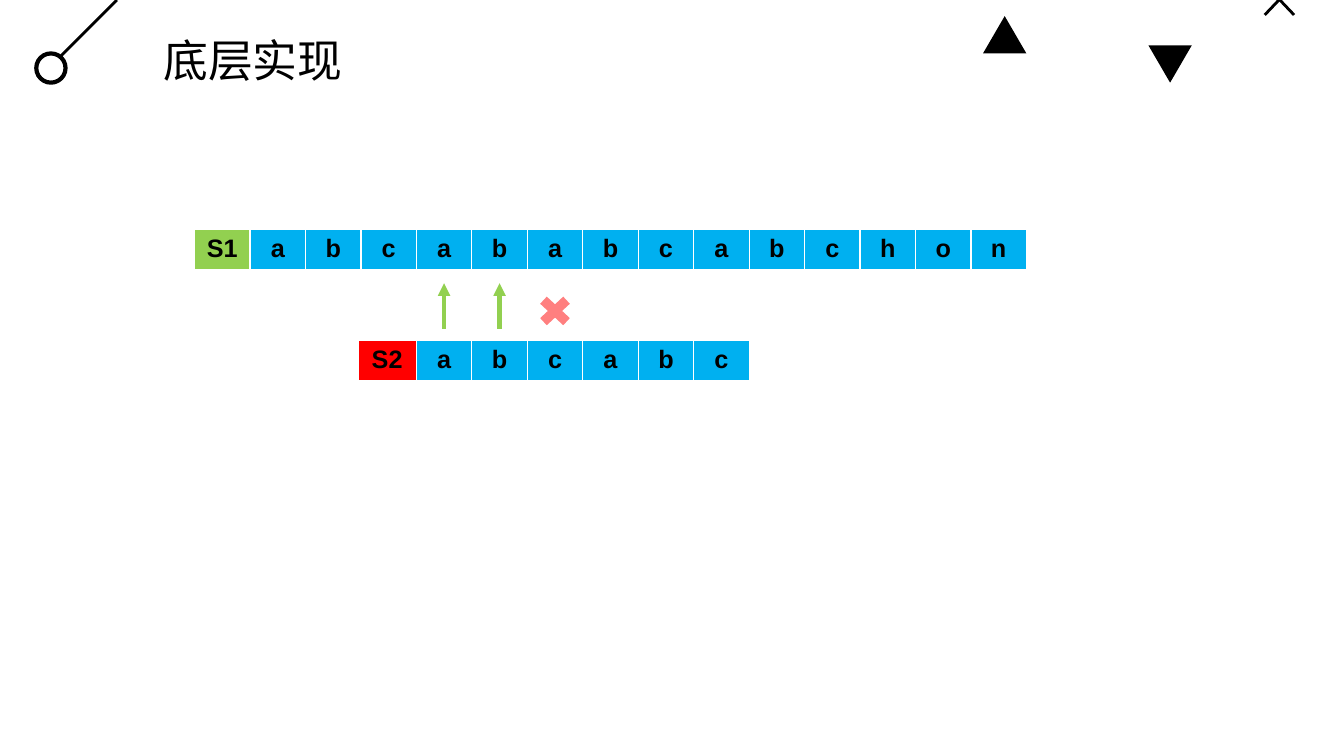
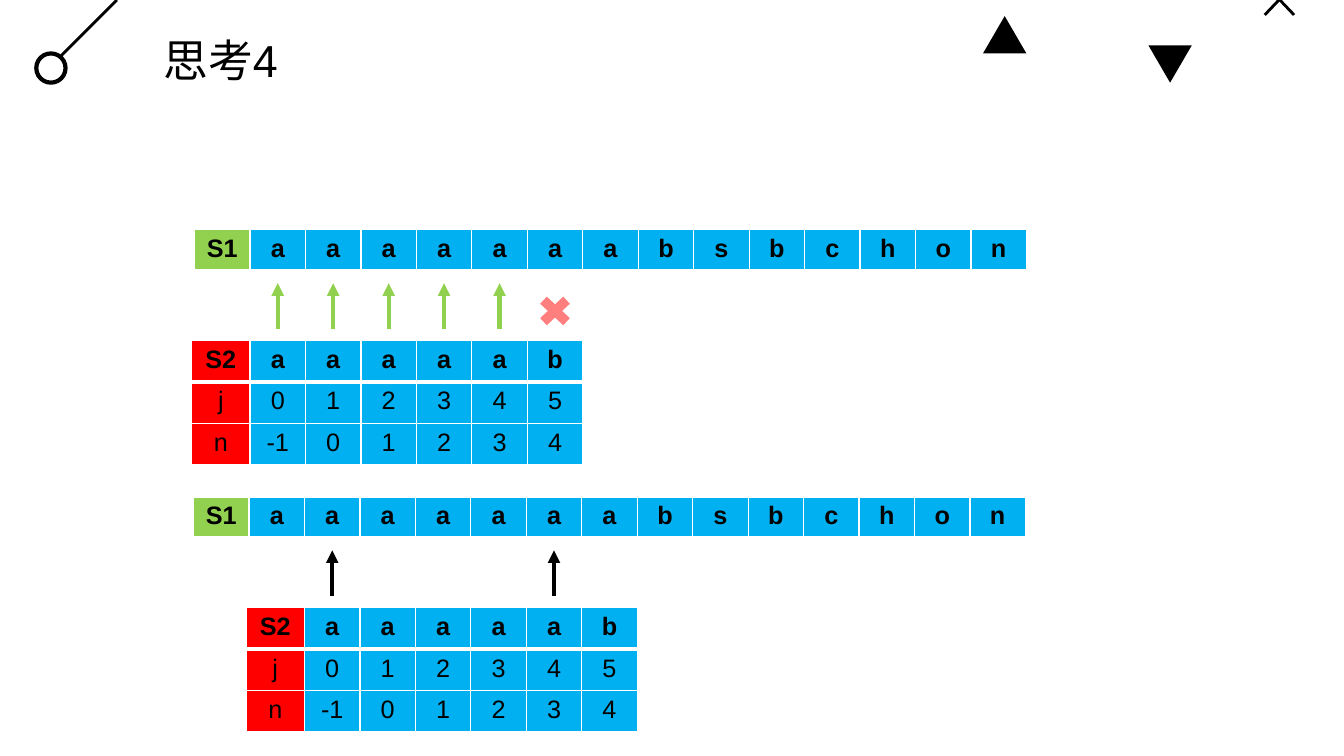
"""Builds two slides that show how a pattern S2 is matched against a string S1."""
from dataclasses import dataclass

from lxml.etree import SubElement
from pptx import Presentation
from pptx.dml.color import RGBColor as RGB
from pptx.enum.shapes import MSO_CONNECTOR as Connector, MSO_SHAPE as Preset
from pptx.enum.text import MSO_ANCHOR as Anchor, PP_ALIGN as Align
from pptx.oxml import parse_xml
from pptx.oxml.ns import nsdecls, qn
from pptx.util import Inches, Pt


@dataclass(frozen=True)
class Theme:
    font: str = "Arial"
    title_size: int = 32
    cell_size: int = 18
    ink: str = "000000"
    paper: str = "FFFFFF"
    cell: str = "00B0F0"
    text_label: str = "92D050"
    pattern_label: str = "FF0000"
    match: str = "92D050"
    mismatch: str = "FF0000"


THEME = Theme()
SLIDE_WIDTH, SLIDE_HEIGHT = 13.33, 7.5
COLUMN, LABEL_COLUMN, ROW = 0.55, 0.58, 0.41
PATTERN_DROP = 1.1
ARROW_TAIL, ARROW_HEAD = 0.98, 0.53
CROSS_WIDTH, CROSS_HEIGHT, CROSS_DROP = 0.44, 0.41, 0.6

RUN_OF_A = "aaaaaaabsbchon"
NEXT_TABLE = [
    ["S2", *"aaaaab"],
    ["j", *"012345"],
    ["n", "-1", *"01234"],
]
SLIDES = [
    {
        "title": "底层实现",
        "comparisons": [
            {"at": (1.93, 2.28), "text": "abcababcabchon", "pattern": [["S2", *"abcabc"]],
             "start": 4, "arrows": [4, 5], "color": THEME.match, "cross": 6},
        ],
    },
    {
        "title": "思考4",
        "comparisons": [
            {"at": (1.93, 2.28), "text": RUN_OF_A, "pattern": NEXT_TABLE,
             "start": 1, "arrows": [1, 2, 3, 4, 5], "color": THEME.match, "cross": 6},
            {"at": (1.92, 4.93), "text": RUN_OF_A, "pattern": NEXT_TABLE,
             "start": 2, "arrows": [2, 6], "color": THEME.ink, "cross": None},
        ],
    },
]


def write(frame, text, size, bold=False, align=Align.LEFT):
    para = frame.paragraphs[0]
    para.alignment = align
    span = para.add_run()
    span.text = text
    span.font.name = THEME.font
    span.font.size = Pt(size)
    span.font.bold = bold
    span.font.color.rgb = RGB.from_string(THEME.ink)


def add_line(page, start, end, color, width, arrow=False):
    line = page.shapes.add_connector(Connector.STRAIGHT, *map(Inches, (*start, *end)))
    line.line.color.rgb = RGB.from_string(color)
    line.line.width = Pt(width)
    if arrow:
        SubElement(line.line._get_or_add_ln(), qn("a:tailEnd"), type="triangle")
    SubElement(line._element.spPr, qn("a:effectLst"))


def add_preset(page, preset, box, fill, outline=None, rotation=0, adjust=None, alpha=None):
    shape = page.shapes.add_shape(preset, *map(Inches, box))
    shape.shadow.inherit = False
    shape.rotation = rotation
    shape.fill.solid()
    shape.fill.fore_color.rgb = RGB.from_string(fill)
    if outline:
        shape.line.color.rgb = RGB.from_string(THEME.ink)
        shape.line.width = Pt(outline)
    else:
        shape.line.fill.background()
    if adjust is not None:
        shape.adjustments[0] = adjust
    if alpha is not None:
        color = shape._element.spPr.find(qn("a:solidFill"))[0]
        SubElement(color, qn("a:alpha"), val=str(alpha * 1000))


def add_frame(page, title):
    add_line(page, (0.57, 0.59), (1.16, 0), THEME.ink, 2)
    add_preset(page, Preset.OVAL, (0.36, 0.53, 0.29, 0.29), THEME.paper, outline=3)
    for left, top, rotation in [(9.75, 0.16, 0), (11.39, 0.45, 180)]:
        add_preset(page, Preset.ISOSCELES_TRIANGLE, (left, top, 0.43, 0.37), THEME.ink,
                   rotation=rotation)
    add_preset(page, Preset.MATH_MULTIPLY, (12.41, -0.3, 0.56, 0.59), THEME.ink, adjust=0.05)
    frame = page.shapes.add_textbox(*map(Inches, (1.52, 0.27, 7.78, 0.64))).text_frame
    frame.word_wrap = True
    frame.vertical_anchor = Anchor.MIDDLE
    write(frame, title, THEME.title_size)


def set_borders(cell, **widths):
    props = cell._tc.get_or_add_tcPr()
    for index, (side, width) in enumerate(widths.items()):
        props.insert(index, parse_xml(
            f'<a:ln{side} {nsdecls("a")} w="{Pt(width)}"><a:solidFill>'
            f'<a:srgbClr val="{THEME.paper}"/></a:solidFill></a:ln{side}>'))


def add_grid(page, left, top, rows, label_fill, label_width):
    widths = [label_width] + [COLUMN] * (len(rows[0]) - 1)
    size = (sum(widths), ROW * len(rows))
    grid = page.shapes.add_table(len(rows), len(widths), *map(Inches, (left, top, *size))).table
    grid.first_row = grid.horz_banding = False
    for column, width in zip(grid.columns, widths):
        column.width = Inches(width)
    for r, row in enumerate(rows):
        for c, text in enumerate(row):
            cell = grid.cell(r, c)
            cell.fill.solid()
            cell.fill.fore_color.rgb = RGB.from_string(THEME.cell if c else label_fill)
            set_borders(cell, L=1, R=1, T=3 if r == 1 else 1, B=3 if r == 0 else 1)
            write(cell.text_frame, text, THEME.cell_size, bold=r == 0, align=Align.CENTER)


def add_comparison(page, at, text, pattern, start, arrows, color, cross):
    left, top = at

    def center(column):
        return left + COLUMN * (column + 0.5)

    add_grid(page, left, top, [["S1", *text]], THEME.text_label, COLUMN)
    add_grid(page, left + COLUMN * start - LABEL_COLUMN, top + PATTERN_DROP, pattern,
             THEME.pattern_label, LABEL_COLUMN)
    for column in arrows:
        x = center(column)
        add_line(page, (x, top + ARROW_TAIL), (x, top + ARROW_HEAD), color, 3, arrow=True)
    if cross is not None:
        box = (center(cross) - CROSS_WIDTH / 2, top + CROSS_DROP, CROSS_WIDTH, CROSS_HEIGHT)
        add_preset(page, Preset.MATH_MULTIPLY, box, THEME.mismatch, alpha=50)


def main():
    deck = Presentation()
    deck.slide_width, deck.slide_height = Inches(SLIDE_WIDTH), Inches(SLIDE_HEIGHT)
    for content in SLIDES:
        page = deck.slides.add_slide(deck.slide_layouts[6])
        add_frame(page, content["title"])
        for comparison in content["comparisons"]:
            add_comparison(page, **comparison)
    deck.save("out.pptx")


if __name__ == "__main__":
    main()
